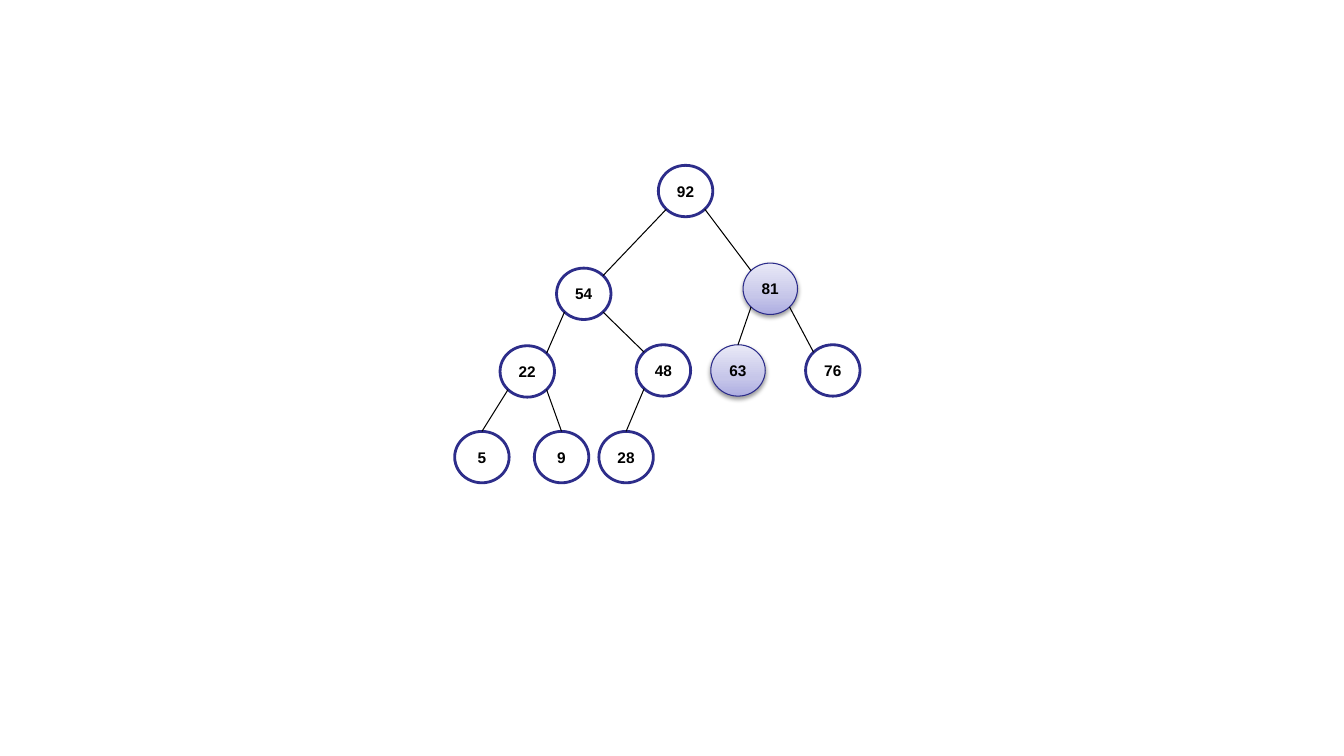
from math import sqrt

from lxml.etree import SubElement
from pptx import Presentation
from pptx.dml.color import RGBColor
from pptx.enum.shapes import MSO_CONNECTOR as CONN, MSO_SHAPE as SHAPE
from pptx.enum.text import MSO_ANCHOR as ANCHOR, PP_ALIGN as ALIGN
from pptx.oxml import parse_xml
from pptx.oxml.ns import nsdecls, qn
from pptx.util import Inches, Pt

NODE_W, NODE_H = 0.54, 0.51
DIAG_X, DIAG_Y = NODE_W / sqrt(8), NODE_H / sqrt(8)

# value: (left, top)
NODES = {
    92: (6.53, 1.64), 54: (5.52, 2.66), 81: (7.37, 2.61),
    22: (4.96, 3.43), 5: (4.51, 4.28), 9: (5.3, 4.28),
    48: (6.31, 3.42), 28: (5.94, 4.28), 63: (7.05, 3.42), 76: (7.99, 3.42),
}
HIGHLIGHTED = {81, 63}
# parent: (left child, right child)
CHILDREN = {92: (54, 81), 54: (22, 48), 81: (63, 76), 22: (5, 9), 48: (28, None)}
TOP_JOINED = {5, 9, 28, 63}


def rgb(code):
    """Return the colour for a hex string."""
    return RGBColor.from_string(code)


class TreeSlide:
    """Style of the tree and the group its elements are drawn into."""

    font, size, ink = "Arial", 11, "000000"
    plain_fill, plain_line = "FFFFFF", "2D2D8A"
    glow_line = "2A2A89"
    glow_stops = ((0, "ADADE1"), (35, "C6C6E9"), (100, "E9E9F7"))

    def __init__(self, prs):
        """Add a blank slide holding one empty group."""
        self.s = prs.slides.add_slide(prs.slide_layouts[6])
        self.shapes = self.s.shapes.add_group_shape().shapes

    def glow(self, sp):
        """Give a node the upward gradient and soft shadow of a highlight."""
        stops = "".join(
            f'<a:gs pos="{pos * 1000}"><a:srgbClr val="{code}"/></a:gs>'
            for pos, code in self.glow_stops)
        grad = parse_xml(
            f'<a:gradFill {nsdecls("a")} rotWithShape="1"><a:gsLst>{stops}</a:gsLst>'
            '<a:lin ang="16200000" scaled="0"/></a:gradFill>')
        spPr = sp._element.spPr
        spPr.find(qn("a:prstGeom")).addnext(grad)
        shadow = SubElement(
            spPr.find(qn("a:effectLst")), qn("a:outerShdw"),
            blurRad=str(Pt(3.1)), dist=str(Pt(1.6)), dir="5400000", rotWithShape="0")
        color = SubElement(shadow, qn("a:srgbClr"), val=self.ink)
        SubElement(color, qn("a:alpha"), val="38000")

    def node(self, value, left, top, highlighted):
        """Draw one tree node with its value."""
        sp = self.shapes.add_shape(SHAPE.OVAL, Inches(left), Inches(top),
                                   Inches(NODE_W), Inches(NODE_H))
        sp.shadow.inherit = False
        sp.line.color.rgb = rgb(self.glow_line if highlighted else self.plain_line)
        sp.line.width = Pt(0.75 if highlighted else 2)
        if highlighted:
            self.glow(sp)
        else:
            sp.fill.solid()
            sp.fill.fore_color.rgb = rgb(self.plain_fill)
        tf = sp.text_frame
        tf.word_wrap = False
        tf.vertical_anchor = ANCHOR.MIDDLE
        tf.margin_left = tf.margin_right = tf.margin_top = tf.margin_bottom = 0
        p = tf.paragraphs[0]
        p.alignment = ALIGN.CENTER
        r = p.add_run()
        r.text = str(value)
        r.font.name, r.font.size, r.font.bold = self.font, Pt(self.size), True
        r.font.color.rgb = rgb(self.ink)

    def edge(self, start, end):
        """Draw a thin straight line between two points."""
        cxn = self.shapes.add_connector(
            CONN.STRAIGHT, *(Inches(n) for n in (*start, *end)))
        cxn.line.color.rgb = rgb(self.ink)
        cxn.line.width = Pt(0.75)
        SubElement(cxn._element.spPr, qn("a:effectLst"))


def rim(value, dx, dy):
    """Return the rim point of a node: dx -1, 0, 1 across, dy -1 up or 1 down."""
    left, top = NODES[value]
    reach = DIAG_Y if dx else NODE_H / 2
    return left + NODE_W / 2 + dx * DIAG_X, top + NODE_H / 2 + dy * reach


def main():
    """Build the tree slide and save it."""
    prs = Presentation()
    prs.slide_width, prs.slide_height = Inches(13.33), Inches(7.5)
    tree = TreeSlide(prs)
    for value, (left, top) in NODES.items():
        tree.node(value, left, top, value in HIGHLIGHTED)
    for parent, children in CHILDREN.items():
        for side, child in zip((-1, 1), children):
            if child is not None:
                joint = 0 if child in TOP_JOINED else -side
                tree.edge(rim(parent, side, 1), rim(child, joint, -1))
    prs.save("out.pptx")


main()
